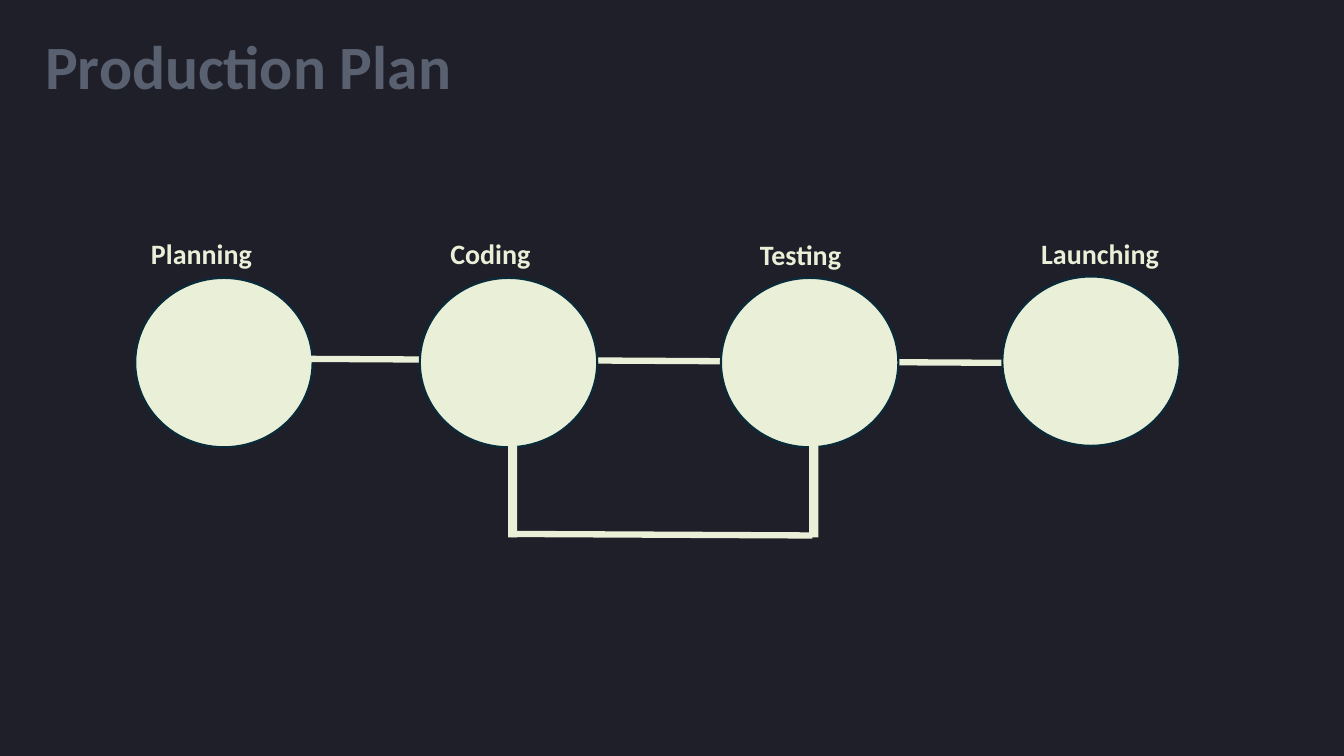
from pptx import Presentation
from pptx.dml.color import RGBColor
from pptx.enum import shapes, text
from pptx.oxml import ns
from pptx.util import Pt

COLORS = {"night": "1F1F29", "slate": "596070", "cream": "EAF0D8", "navy": "092A39"}
PAGE_WIDTH, PAGE_HEIGHT = 960, 540
LABEL_WIDTH, LABEL_HEIGHT = 314.64, 31.5
CIRCLE_WIDTH, CIRCLE_HEIGHT = 126.72, 120.96

deck = Presentation()
deck.slide_width, deck.slide_height = Pt(PAGE_WIDTH), Pt(PAGE_HEIGHT)
page = deck.slides.add_slide(deck.slide_layouts[6])
page.background.fill.solid()
page.background.fill.fore_color.rgb = RGBColor.from_string(COLORS["night"])


def add_text(words, left, top, width, height, size, color):
    box = page.shapes.add_textbox(Pt(left), Pt(top), Pt(width), Pt(height))
    box.text_frame.word_wrap = True
    box.text_frame.text = words
    font = box.text_frame.paragraphs[0].runs[0].font
    font.name, font.size, font.bold = "Calibri", Pt(size), True
    font.color.rgb = RGBColor.from_string(COLORS[color])
    return box


def add_line(x1, y1, x2, y2):
    line = page.shapes.add_connector(
        shapes.MSO_CONNECTOR.STRAIGHT, Pt(x1), Pt(y1), Pt(x2), Pt(y2))
    line.line.color.rgb = RGBColor.from_string(COLORS["cream"])
    line.line.width = Pt(4.5)
    properties = line._element.spPr
    properties.append(properties.makeelement(ns.qn("a:effectLst"), {}))


# Title
title = add_text("Production Plan", 25.2, -2.88, 828, 104.4, 44, "slate")
title.text_frame.vertical_anchor = text.MSO_ANCHOR.MIDDLE
title.text_frame.paragraphs[0].line_spacing = 0.9

# Stages: name, circle left and top, label left and top
stages = [
    ("Planning", 96.6, 198.5, 100.8, 165.6),
    ("Coding", 299.9, 198.5, 314.6, 165.6),
    ("Testing", 515, 198.5, 535.7, 166.3),
    ("Launching", 716, 197.5, 736.6, 165.2),
]
for name, left, top, label_left, label_top in stages:
    circle = page.shapes.add_shape(
        shapes.MSO_SHAPE.OVAL, Pt(left), Pt(top), Pt(CIRCLE_WIDTH), Pt(CIRCLE_HEIGHT))
    circle.shadow.inherit = False
    circle.fill.solid()
    circle.fill.fore_color.rgb = RGBColor.from_string(COLORS["cream"])
    circle.line.color.rgb = RGBColor.from_string(COLORS["navy"])
    circle.line.width = Pt(1.5)
    label_width = min(LABEL_WIDTH, PAGE_WIDTH - label_left)
    add_text(name, label_left, label_top, label_width, LABEL_HEIGHT, 20, "cream")
    # The timeline leaves the first circle and runs behind the others
    if name == "Planning":
        add_line(211.7, 256.3, 841, 259.9)

# Loop from testing back to coding
for left in (362.9, 578):
    bar = page.shapes.add_shape(
        shapes.MSO_SHAPE.RECTANGLE, Pt(left), Pt(283), Pt(6.48), Pt(100.8))
    bar.shadow.inherit = False
    bar.fill.solid()
    bar.fill.fore_color.rgb = RGBColor.from_string(COLORS["cream"])
    bar.line.fill.background()
add_line(365, 381.4, 580.3, 382.5)

deck.save("out.pptx")
